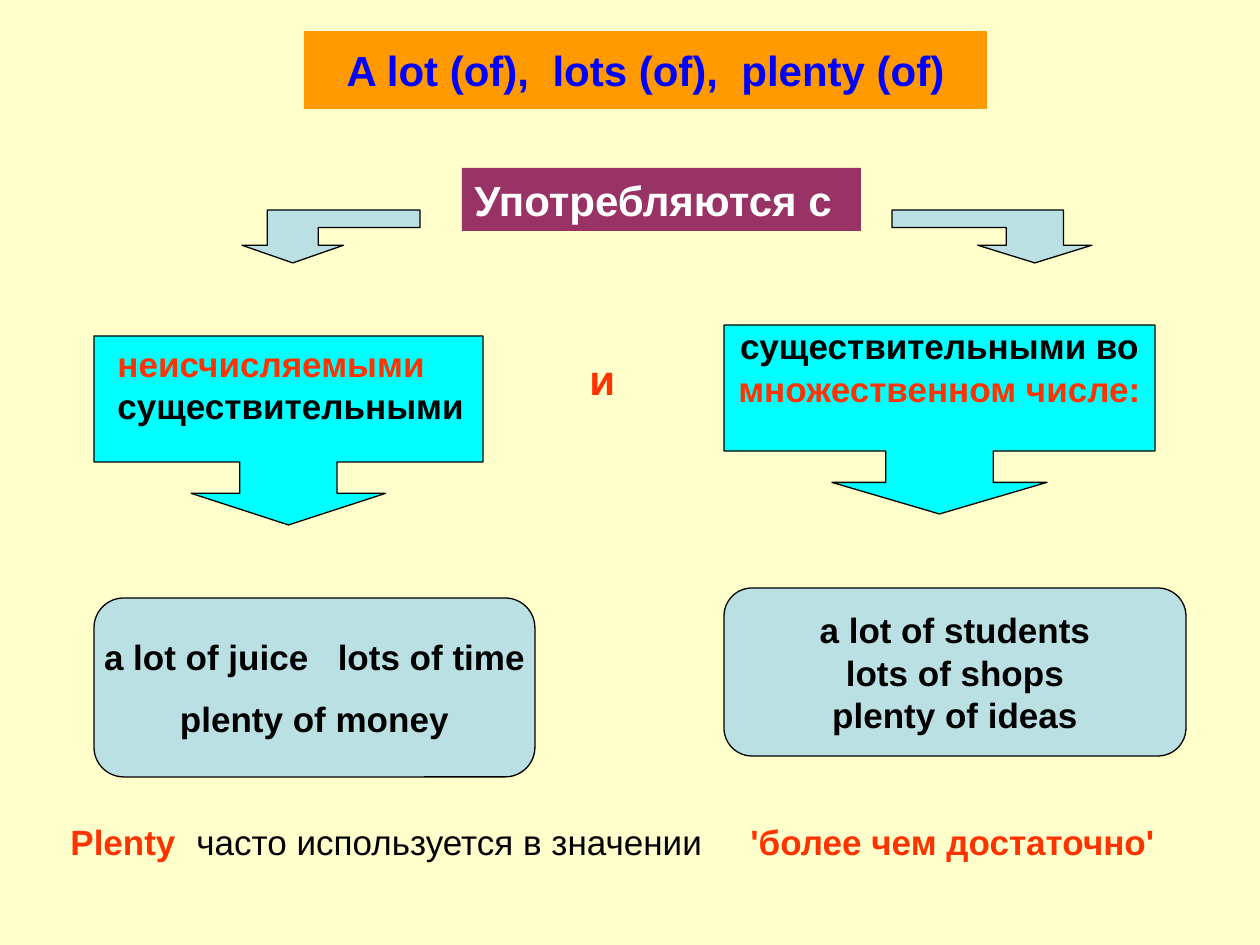
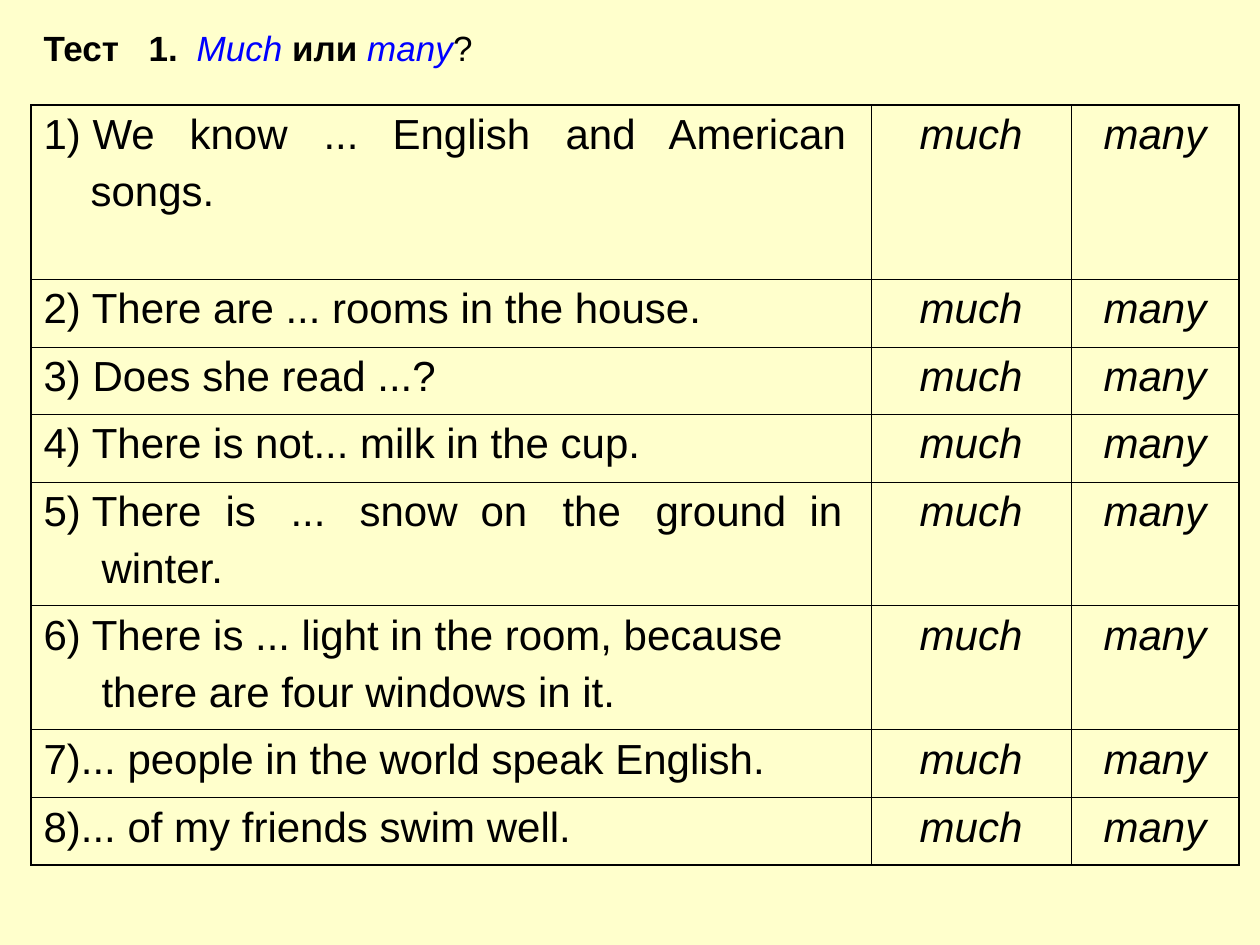
from lxml import etree
from pptx import Presentation
from pptx import util as u
from pptx.dml.color import RGBColor
from pptx.enum import shapes, text
from pptx.oxml.ns import qn

PX = 914400 / 126
FONT = "Arial"
CREAM = RGBColor(0xFF, 0xFF, 0xCC)
ORANGE = RGBColor(0xFF, 0x99, 0x00)
PLUM = RGBColor(0x99, 0x33, 0x66)
CYAN = RGBColor(0x00, 0xFF, 0xFF)
PALE_BLUE = RGBColor(0xBB, 0xE0, 0xE3)
BLUE = RGBColor(0x00, 0x00, 0xFF)
RED = RGBColor(0xFF, 0x33, 0x00)
WHITE = RGBColor(0xFF, 0xFF, 0xFF)
BLACK = RGBColor(0, 0, 0)

CENTER = text.PP_ALIGN.CENTER
TOP, MIDDLE = text.MSO_ANCHOR.TOP, text.MSO_ANCHOR.MIDDLE
MUCH_MANY = ("much", "many")
COLUMNS = (840, 200, 168)
# Row height, lines of the sentence, indent of the second line, tab stops
QUESTIONS = [
    (174, ["1) We\tknow\t...\tEnglish\tand\tAmerican", "songs."], 47,
     (146, 280, 349, 522, 625)),
    (68, ["2) There are ... rooms in the house."], 0, ()),
    (67, ["3) Does she read ...?"], 0, ()),
    (68, ["4) There is not... milk in the cup."], 0, ()),
    (124, ["5) There\tis\t...\tsnow\ton\tthe\tground\tin", "winter."], 58,
     (182, 247, 316, 437, 519, 612, 766)),
    (124, ["6) There is ... light in the room, because",
           "there are four windows in it."], 58, ()),
    (68, ["7)... people in the world speak English."], 0, ()),
    (67, ["8)... of my friends swim well."], 0, ()),
]


def px(n):
    return u.Emu(round(n * PX))


def box(*sizes):
    return [px(n) for n in sizes]


def write(tf, runs, new=False, size=20, color=BLACK, bold=True, italic=False,
          align=None, before=0, left=0, first=0, tabs=()):
    """Write one paragraph; a run is a string or (string, format changes)."""
    p = tf.add_paragraph() if new else tf.paragraphs[0]
    p.alignment = align
    if before:
        p.space_before = u.Pt(before)
    pPr = p._p.get_or_add_pPr()
    if left or first:
        pPr.set("marL", str(px(left)))
        pPr.set("indent", str(px(first)))
    if tabs:
        stops = etree.SubElement(pPr, qn("a:tabLst"))
        for stop in tabs:
            etree.SubElement(stops, qn("a:tab"), pos=str(px(stop)), algn="l")
    for run in [runs] if isinstance(runs, str) else runs:
        words, changes = (run, {}) if isinstance(run, str) else run
        fmt = dict(size=size, color=color, bold=bold, italic=italic) | changes
        r = p.add_run()
        r.text = words
        f = r.font
        f.name, f.size = FONT, u.Pt(fmt["size"])
        f.bold, f.italic = fmt["bold"], fmt["italic"]
        f.color.rgb = fmt["color"]
        if "spacing" in fmt:
            r._r.get_or_add_rPr().set("spc", str(fmt["spacing"]))


def gap(spacing):
    """A single space widened by hundredths of a point."""
    return " ", dict(spacing=spacing)


def paint(sp, fill, outlined=True):
    sp.shadow.inherit = False
    sp.fill.solid()
    sp.fill.fore_color.rgb = fill
    if outlined:
        sp.line.color.rgb = BLACK
        sp.line.width = u.Pt(0.75)
    else:
        sp.line.fill.background()


def add_shape(s, kind, place, fill, outlined=True, adjust=(), anchor=MIDDLE):
    sp = s.shapes.add_shape(kind, *box(*place))
    paint(sp, fill, outlined)
    for i, value in enumerate(adjust):
        sp.adjustments[i] = value
    sp.text_frame.word_wrap = True
    sp.text_frame.vertical_anchor = anchor
    return sp.text_frame


def add_text(s, place, runs, **fmt):
    tf = s.shapes.add_textbox(*box(*place)).text_frame
    tf.word_wrap = True
    write(tf, runs, **fmt)


def add_title(s, place, runs, **fmt):
    sp = s.shapes.title
    sp.left, sp.top, sp.width, sp.height = box(*place)
    sp.text_frame.vertical_anchor = MIDDLE
    write(sp.text_frame, runs, **fmt)
    return sp


def add_callout(s, place, head):
    return add_shape(s, shapes.MSO_SHAPE.DOWN_ARROW_CALLOUT, place, CYAN,
                     adjust=(head, head, 0.167, 0.667), anchor=TOP)


def add_bent_arrow(s, x, y, w, h, mirror=False):
    """Bent arrow on a 7 by 3 grid, its head down at the left or, mirrored, right."""
    grid = [(2, 3), (4, 2), (3, 2), (3, 1), (7, 1), (7, 0), (1, 0), (1, 2), (0, 2)]
    pts = [(px(x + (7 - i if mirror else i) * w / 7), px(y + j * h / 3))
           for i, j in grid]
    fb = s.shapes.build_freeform(*pts[0])
    fb.add_line_segments(pts[1:], close=True)
    paint(fb.convert_to_shape(), PALE_BLUE)


def set_borders(cell, **widths):
    tcPr = cell._tc.get_or_add_tcPr()
    for i, (side, width) in enumerate(widths.items()):
        ln = etree.Element(qn("a:ln" + side), w=str(u.Pt(width)))
        fill = etree.SubElement(ln, qn("a:solidFill"))
        etree.SubElement(fill, qn("a:srgbClr"), val=str(BLACK))
        tcPr.insert(i, ln)


def add_quiz(s, x, y):
    n_rows, n_cols = len(QUESTIONS), len(COLUMNS)
    height = sum(q[0] for q in QUESTIONS)
    table = s.shapes.add_table(n_rows, n_cols,
                               *box(x, y, sum(COLUMNS), height)).table
    table.first_row = table.horz_banding = False
    for col, width in zip(table.columns, COLUMNS):
        col.width = px(width)
    for i, (height, lines, indent, tabs) in enumerate(QUESTIONS):
        table.rows[i].height = px(height)
        for j in range(n_cols):
            cell = table.cell(i, j)
            cell.fill.background()
            cell.margin_left = cell.margin_right = u.Inches(0.1)
            edges = dict(L=j == 0, R=j == n_cols - 1, T=i == 0, B=i == n_rows - 1)
            set_borders(cell, **{k: 1.08 if outer else 0.45
                                 for k, outer in edges.items()})
            if j:
                write(cell.text_frame, MUCH_MANY[j - 1], size=24, bold=False,
                      italic=True, align=CENTER)
        tf = table.cell(i, 0).text_frame
        write(tf, lines[0], size=24, bold=False, tabs=tabs)
        for line in lines[1:]:
            write(tf, line, new=True, size=24, bold=False, before=6, left=indent)


def usage_slide(s):
    title = add_title(s, (304, 31, 683, 78),
                      ["A lot (of),", gap(667), "lots (of),", gap(667), "plenty (of)"],
                      size=24, color=BLUE, align=CENTER)
    paint(title, ORANGE, outlined=False)
    used_with = add_shape(s, shapes.MSO_SHAPE.RECTANGLE, (462, 168, 399, 63), PLUM,
                          outlined=False, anchor=TOP)
    write(used_with, "Употребляются с", size=24, color=WHITE, align=text.PP_ALIGN.LEFT)
    add_text(s, (577, 347, 53, 63), "и", size=24, color=RED)

    add_callout(s, (94, 336, 389, 189), 0.514)
    add_text(s, (105, 336, 410, 139),
             [("неисчисляемыми ", dict(color=RED)), "существительными"])
    plural = add_callout(s, (724, 325, 431, 189), 0.569)
    plural.margin_top = plural.margin_left = plural.margin_right = 0
    write(plural, "существительными во", align=CENTER)
    write(plural, "множественном числе:", new=True, color=RED, align=CENTER)

    rounded = shapes.MSO_SHAPE.ROUNDED_RECTANGLE
    uncountable = add_shape(s, rounded, (94, 598, 441, 179), PALE_BLUE)
    uncountable.margin_left = uncountable.margin_right = 0
    write(uncountable, ["a lot of juice", gap(1112), "lots of time"], align=CENTER)
    write(uncountable, "plenty of money", new=True, align=CENTER, before=11, first=-10)
    countable = add_shape(s, rounded, (724, 588, 462, 168), PALE_BLUE)
    write(countable, "a lot of students", align=CENTER, first=-30)
    for example in ("lots of shops", "plenty of ideas"):
        write(countable, example, new=True, align=CENTER)

    add_bent_arrow(s, 242, 210, 178, 53)
    add_bent_arrow(s, 892, 210, 200, 53, mirror=True)
    add_text(s, (58, 814, 1202, 55),
             ["Plenty\t", ("часто используется в значении\t",
                           dict(color=BLACK, bold=False)),
              "'более чем достаточно'"], color=RED, tabs=(126, 680))


def test_slide(s):
    blue = dict(color=BLUE, bold=False, italic=True)
    add_title(s, (31, 21, 609, 53),
              ["Тест\t1.\t", ("Much ", blue), "или ", ("many", blue),
               ("?", dict(bold=False))], align=text.PP_ALIGN.LEFT, tabs=(105, 153))
    add_quiz(s, 31, 105)


def main():
    prs = Presentation()
    prs.slide_width, prs.slide_height = u.Inches(10), u.Inches(7.5)
    background = prs.slide_master.background.fill
    background.solid()
    background.fore_color.rgb = CREAM
    for build in (usage_slide, test_slide):
        build(prs.slides.add_slide(prs.slide_layouts[5]))
    prs.save("out.pptx")


if __name__ == "__main__":
    main()
